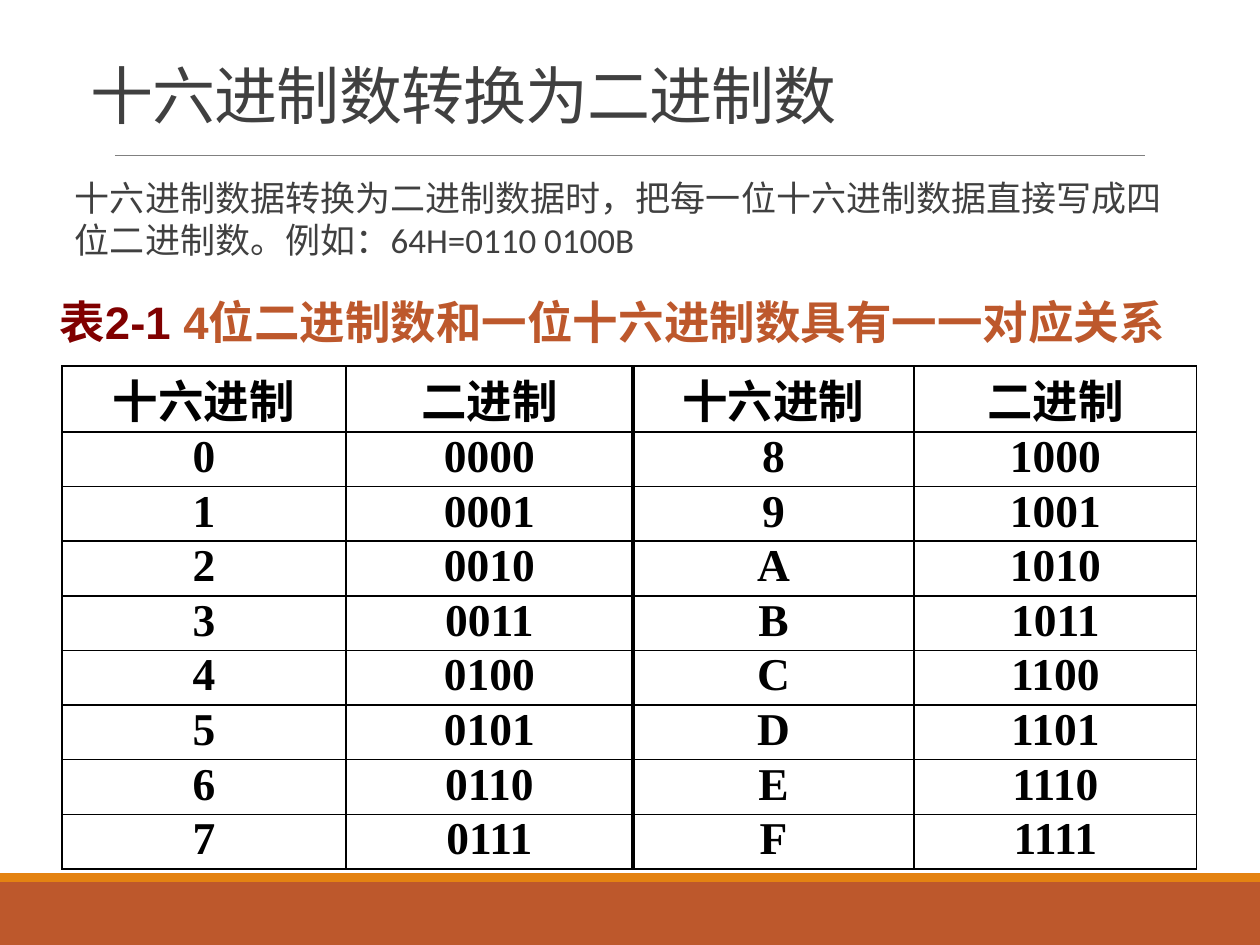
from lxml.etree import SubElement
from pptx import Presentation
from pptx.dml.color import RGBColor
from pptx.enum.shapes import MSO_CONNECTOR as Connector, MSO_SHAPE as Shape
from pptx.enum.text import MSO_ANCHOR as Anchor, MSO_AUTO_SIZE as AutoSize, PP_ALIGN as Align
from pptx.oxml.ns import qn
from pptx.util import Pt

EMU_PER_PX = 914400 / 126

WHITE = RGBColor(0xFF, 0xFF, 0xFF)
BLACK = RGBColor(0x00, 0x00, 0x00)
CHARCOAL = RGBColor(0x40, 0x40, 0x40)
GRAY = RGBColor(0x80, 0x80, 0x80)
MAROON = RGBColor(0x80, 0x00, 0x00)
RUST = RGBColor(0xBD, 0x58, 0x2C)
ORANGE = RGBColor(0xE4, 0x83, 0x12)

HEADINGS = ("十六进制", "二进制") * 2
COLUMN_WIDTHS = (284, 287, 281, 283)
COLUMN_EDGES = (0.75, 1, 2, 1, 0.75)
HEADER_HEIGHT = 66
DIGITS_HEIGHT = 437


def px(length):
    return round(length * EMU_PER_PX)


def place(item, left, top, width, height):
    item.left, item.top = px(left), px(top)
    item.width, item.height = px(width), px(height)


def write_text(frame, *runs, font, size, bold=False, align=Align.LEFT,
               line_spacing=None, before=0, after=0, tracking=None):
    """Fill the first paragraph with (text, color) runs."""
    frame.word_wrap = True
    paragraph = frame.paragraphs[0]
    paragraph.alignment = align
    paragraph.line_spacing = line_spacing
    paragraph.space_before, paragraph.space_after = Pt(before), Pt(after)
    for text, color in runs:
        run = paragraph.add_run()
        run.text = text
        run.font.name, run.font.size, run.font.bold = font, Pt(size), bold
        run.font.color.rgb = color
        if tracking is not None:
            run.font._element.set("spc", str(round(tracking * 100)))


def add_band(slide, top, height, color):
    band = slide.shapes.add_shape(Shape.RECTANGLE, 0, px(top), px(1260), px(height))
    band.shadow.inherit = False
    band.fill.solid()
    band.fill.fore_color.rgb = color
    band.line.fill.background()


def add_rule(slide, left, right, y):
    rule = slide.shapes.add_connector(Connector.STRAIGHT, px(left), px(y), px(right), px(y))
    rule.line.color.rgb = GRAY
    rule.line.width = Pt(0.5)
    SubElement(rule._element.spPr, qn("a:effectLst"))


def add_text_box(slide, left, top, width, height):
    return slide.shapes.add_textbox(px(left), px(top), px(width), px(height)).text_frame


def set_borders(cell, left, right):
    properties = cell._tc.get_or_add_tcPr()
    for side, width in (("L", left), ("R", right), ("T", 1), ("B", 1)):
        border = SubElement(properties, qn(f"a:ln{side}"), w=str(Pt(width)))
        fill = SubElement(border, qn("a:solidFill"))
        SubElement(fill, qn("a:srgbClr"), val=str(BLACK))


def add_digit_table(slide, left, top):
    low_high = [(digit, digit + 8) for digit in range(8)]
    rows = [HEADINGS] + [
        (f"{low:X}", f"{low:04b}", f"{high:X}", f"{high:04b}") for low, high in low_high
    ]
    table = slide.shapes.add_table(
        len(rows), len(HEADINGS), px(left), px(top),
        px(sum(COLUMN_WIDTHS)), px(HEADER_HEIGHT + DIGITS_HEIGHT)).table
    table.first_row = table.horz_banding = False
    for column, width in zip(table.columns, COLUMN_WIDTHS):
        column.width = px(width)
    row_heights = [HEADER_HEIGHT] + [DIGITS_HEIGHT / len(low_high)] * len(low_high)
    for row, height in zip(table.rows, row_heights):
        row.height = px(height)
    for row_index, values in enumerate(rows):
        for column_index, value in enumerate(values):
            cell = table.cell(row_index, column_index)
            cell.margin_top = cell.margin_bottom = 0
            set_borders(cell, *COLUMN_EDGES[column_index:column_index + 2])
            cell.fill.solid()
            cell.fill.fore_color.rgb = WHITE
            write_text(cell.text_frame, (value, BLACK), font="Times New Roman",
                       size=26, bold=True, align=Align.CENTER)


def main():
    presentation = Presentation()
    presentation.slide_width, presentation.slide_height = px(1260), px(945)
    slide = presentation.slides.add_slide(presentation.slide_layouts[5])

    add_band(slide, 882, 63, RUST)
    add_band(slide, 873, 9, ORANGE)
    add_rule(slide, 115, 1145, 155)

    title = slide.shapes.title
    place(title, 78, 70, 940, 69)
    title.text_frame.auto_size = AutoSize.NONE
    title.text_frame.vertical_anchor = Anchor.BOTTOM
    write_text(title.text_frame, ("十六进制数转换为二进制数", CHARCOAL),
               font="Arial", size=36, line_spacing=0.85, tracking=-0.5)

    explanation = add_text_box(slide, 62, 170, 1119, 110)
    explanation.margin_left, explanation.margin_right = px(13), 0
    write_text(explanation,
               ("十六进制数据转换为二进制数据时，把每一位十六进制数据直接写成四位二进制数。"
                "例如：64H=0110 0100B", CHARCOAL),
               font="Calibri", size=20, line_spacing=1.0, after=2)

    caption = add_text_box(slide, 47, 280, 1167, 74)
    write_text(caption, ("表2-1 ", MAROON),
               ("4位二进制数和一位十六进制数具有一一对应关系", RUST),
               font="Arial", size=26, bold=True, align=Align.JUSTIFY,
               line_spacing=1.14, before=5.2, after=6)

    add_digit_table(slide, 62, 366)
    presentation.save("out.pptx")


if __name__ == "__main__":
    main()
